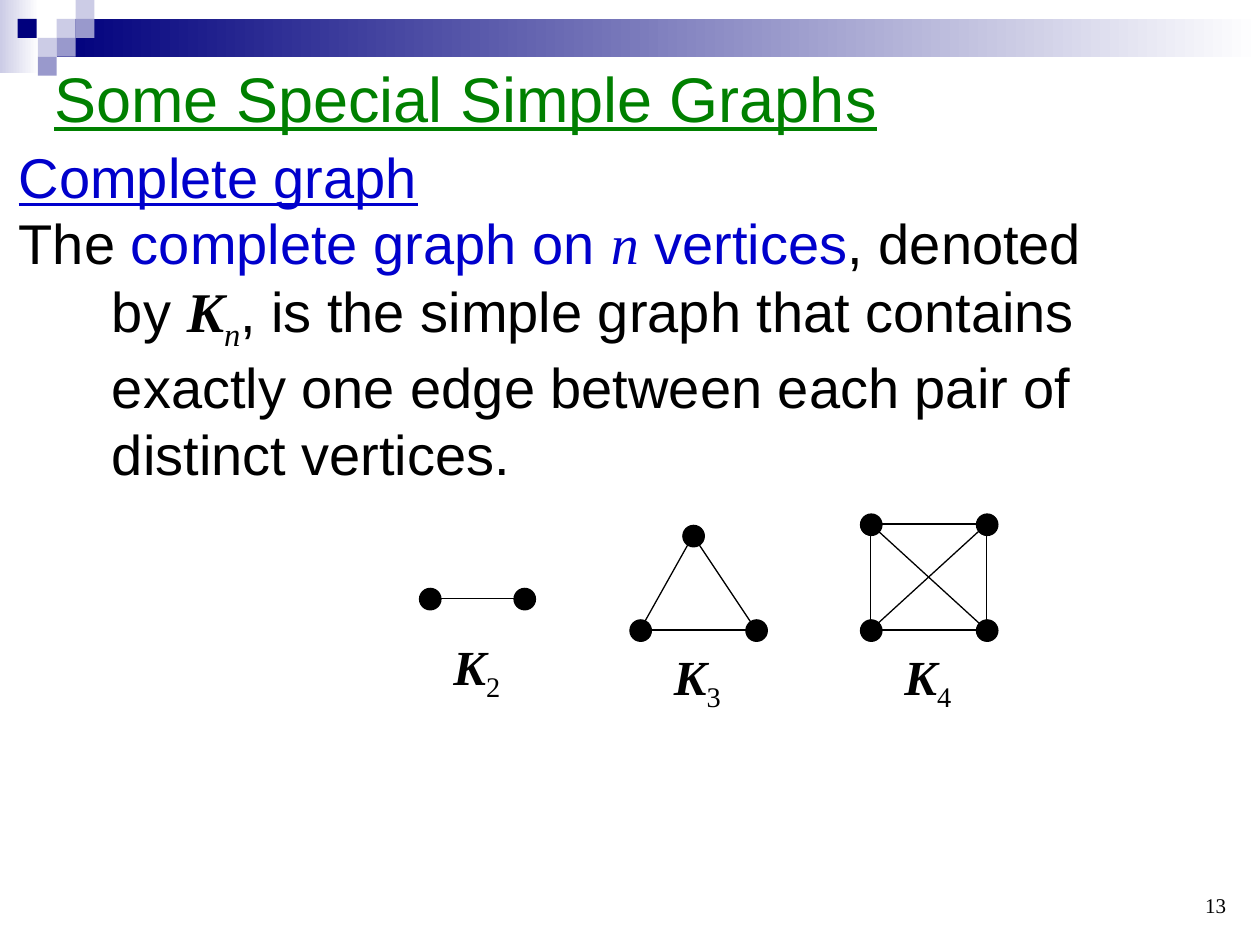
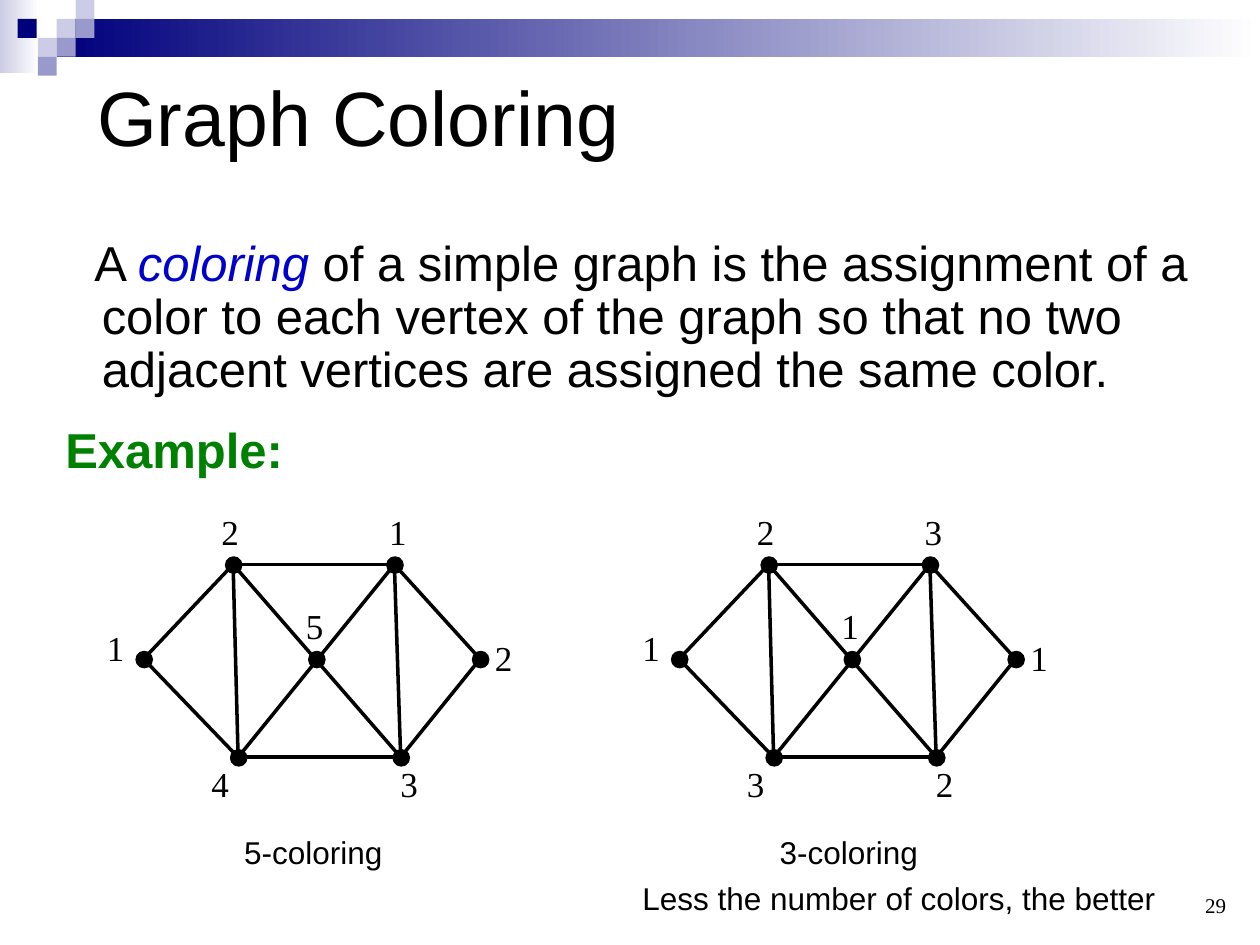
"""Build two slides on complete graphs and graph coloring."""
from itertools import combinations

from lxml import etree
from pptx import Presentation, util as u
from pptx.dml import color
from pptx.enum import shapes, text
from pptx.oxml import ns

PX = 9144
BLACK, WHITE, NAVY, PALE, LILAC = "000000", "FFFFFF", "00007D", "CCCCE6", "9999CC"
BLUE, GREEN = "0000CC", "008000"
SANS, SERIF = "Arial", "Times New Roman"
SQUARES = [(45, 15, PALE), (60, 0, PALE), (60, 15, LILAC), (30, 30, PALE),
           (14, 15, NAVY), (45, 30, LILAC), (30, 45, LILAC)]


def rgb(value):
    return color.RGBColor.from_string(value)


def emu(*lengths):
    return [u.Emu(length * PX) for length in lengths]


class Deck:
    """Holds the shared style and the current slide."""

    def __init__(self):
        self.prs = Presentation()
        self.prs.slide_width, self.prs.slide_height = emu(1000, 750)

    def slide(self, number):
        self.s = self.prs.slides.add_slide(self.prs.slide_layouts[5])
        self.shape((0, 0, 31, 58), (PALE, WHITE))
        self.shape((45, 15, 955, 30), (NAVY, WHITE))
        for x, y, fill in SQUARES:
            self.shape((x, y, 15, 15), fill)
        self.text((750, 683, 233, 50), number, 12, SERIF, anchor="BOTTOM", align="RIGHT")

    def shape(self, box, fill, kind="RECTANGLE", line=None):
        sp = self.s.shapes.add_shape(shapes.MSO_SHAPE[kind], *emu(*box))
        sp.shadow.inherit = False
        if isinstance(fill, tuple):
            sp.fill.gradient()
            sp.fill.gradient_angle = 0
            for stop, value, position in zip(sp.fill.gradient_stops, fill, (0, 1)):
                stop.color.rgb, stop.position = rgb(value), position
        else:
            sp.fill.solid()
            sp.fill.fore_color.rgb = rgb(fill)
        if line:
            sp.line.color.rgb, sp.line.width = rgb(line), u.Pt(0.75)
        else:
            sp.line.fill.background()

    def line(self, start, end, width):
        sp = self.s.shapes.add_connector(shapes.MSO_CONNECTOR.STRAIGHT, *emu(*start, *end))
        sp.line.color.rgb, sp.line.width = rgb(BLACK), u.Pt(width)
        etree.SubElement(sp._element.spPr, ns.qn("a:effectLst"))

    def title(self, box, words, size, **style):
        self.fill_text(self.s.shapes.title, box, words, size, **style)

    def text(self, box, words, size, font=SANS, **style):
        sp = self.s.shapes.add_textbox(*emu(*box))
        return self.fill_text(sp, box, words, size, font, **style)

    def fill_text(self, sp, box, words, size, font=SANS, fill=BLACK, anchor="TOP",
                  align="LEFT", wrap=True, bold=False, underline=False):
        sp.left, sp.top, sp.width, sp.height = emu(*box)
        tf = sp.text_frame
        tf.word_wrap, tf.vertical_anchor = wrap, text.MSO_ANCHOR[anchor]
        p = tf.paragraphs[0]
        p.alignment = text.PP_ALIGN[align]
        p.font.size, p.font.name, p.font.color.rgb = u.Pt(size), font, rgb(fill)
        p.font.bold, p.font.underline = bold, underline
        self.runs(p, words)
        return p

    def runs(self, p, words):
        for part in [(words, {})] if isinstance(words, str) else words:
            r = p.add_run()
            r.text, style = part
            for name, value in style.items():
                if name == "fill":
                    r.font.color.rgb = rgb(value)
                elif name == "sub":
                    r._r.get_or_add_rPr().set("baseline", "-25000")
                else:
                    setattr(r.font, name, value)

    def indent(self, p, left, first):
        pPr = p._p.get_or_add_pPr()
        pPr.set("marL", str(left * PX))
        pPr.set("indent", str(first * PX))

    def graph(self, corners, edges, dot, kind, width):
        for a, b in edges:
            self.line(*([v + dot // 2 for v in corners[end]] for end in (a, b)), width)
        for x, y in corners:
            self.shape((x, y, dot, dot), BLACK, kind, BLACK)


def complete_graphs(deck):
    deck.slide("13")
    deck.title((33, 42, 720, 71), "Some Special Simple Graphs", 36, fill=GREEN, underline=True)
    deck.text((5, 108, 882, 58), "Complete graph", 32, fill=BLUE, underline=True)
    symbol = {"name": SERIF, "italic": True}
    p = deck.text((5, 161, 882, 226), [
        ("The ", {}), ("complete graph on ", {"fill": BLUE}), ("n", {"fill": BLUE, **symbol}),
        (" vertices", {"fill": BLUE}), (", denoted by ", {}), ("K", {"bold": True, **symbol}),
        ("n", {"sub": True, **symbol}),
        (", is the simple graph that contains exactly one edge between each pair of "
         "distinct vertices.", {})], 32)
    deck.indent(p, 74, -74)
    for corners, label in [
            ([(333, 467), (408, 467)], (350, 500)),
            ([(542, 417), (500, 492), (592, 492)], (525, 508)),
            ([(683, 408), (775, 408), (683, 492), (775, 492)], (708, 508))]:
        count = len(corners)
        deck.graph(corners, combinations(range(count), 2), 17, "OVAL", 0.75)
        deck.text((*label, 59, 57), [("K", {"bold": True, "italic": True}),
                                     (str(count), {"sub": True})], 28, SERIF, wrap=False)


def graph_coloring(deck):
    deck.slide("29")
    deck.title((67, 50, 883, 83), "Graph Coloring", 44, anchor="MIDDLE")
    p = deck.text((33, 185, 933, 140), [
        ("A ", {}), ("coloring", {"fill": BLUE, "italic": True}),
        (" of a simple graph is the assignment of a color to each vertex of the graph "
         "so that no two adjacent vertices are assigned the same color.", {})], 28)
    p.line_spacing = 0.9
    deck.indent(p, 38, -6)
    p = deck.text((42, 333, 195, 52), "Example:", 28, fill=GREEN, bold=True, wrap=False)
    p.line_spacing = 0.9
    corners = [(179, 442), (307, 442), (108, 517), (245, 517), (375, 517), (183, 595), (312, 595)]
    labels = [(166, 400), (299, 400), (75, 492), (233, 475), (383, 500), (158, 600), (308, 600)]
    edges = [(0, 1), (5, 1), (4, 1), (1, 6), (5, 6), (4, 6), (0, 5), (0, 2), (0, 6), (2, 5)]
    for shift, colors in [(0, "2115243"), (425, "2311132")]:
        deck.graph([(x + shift, y) for x, y in corners], edges, 13, "FLOWCHART_CONNECTOR", 2)
        for (x, y), number in zip(labels, colors):
            deck.text((x + shift, y, 34, 44), number, 20, SERIF, wrap=False)
        deck.text((184 + shift, 656, 150, 40), f"{len(set(colors))}-coloring", 18)
    deck.text((500, 693, 431, 40), "Less the number of colors, the better", 18, wrap=False)


def main():
    deck = Deck()
    complete_graphs(deck)
    graph_coloring(deck)
    deck.prs.save("out.pptx")


if __name__ == "__main__":
    main()
